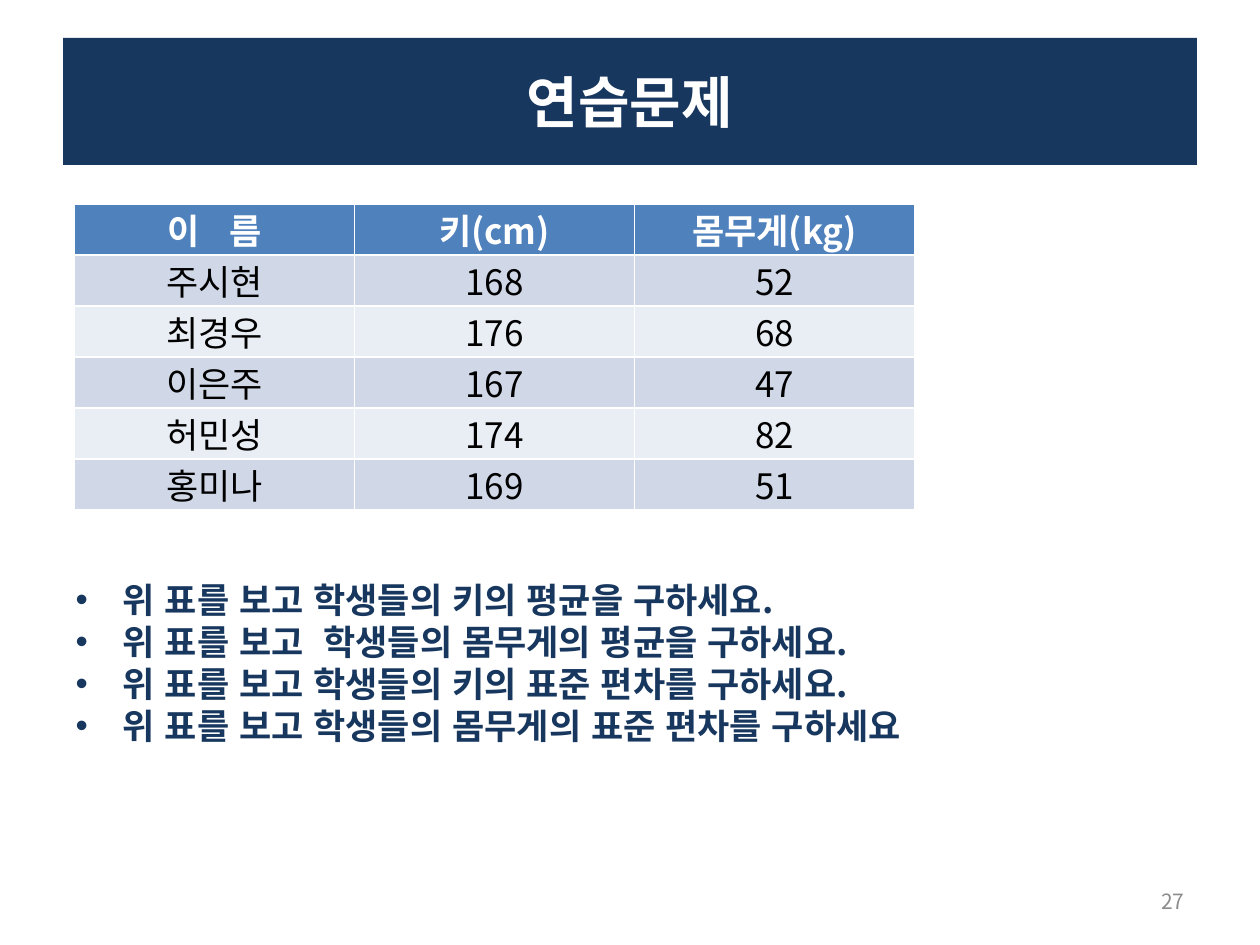
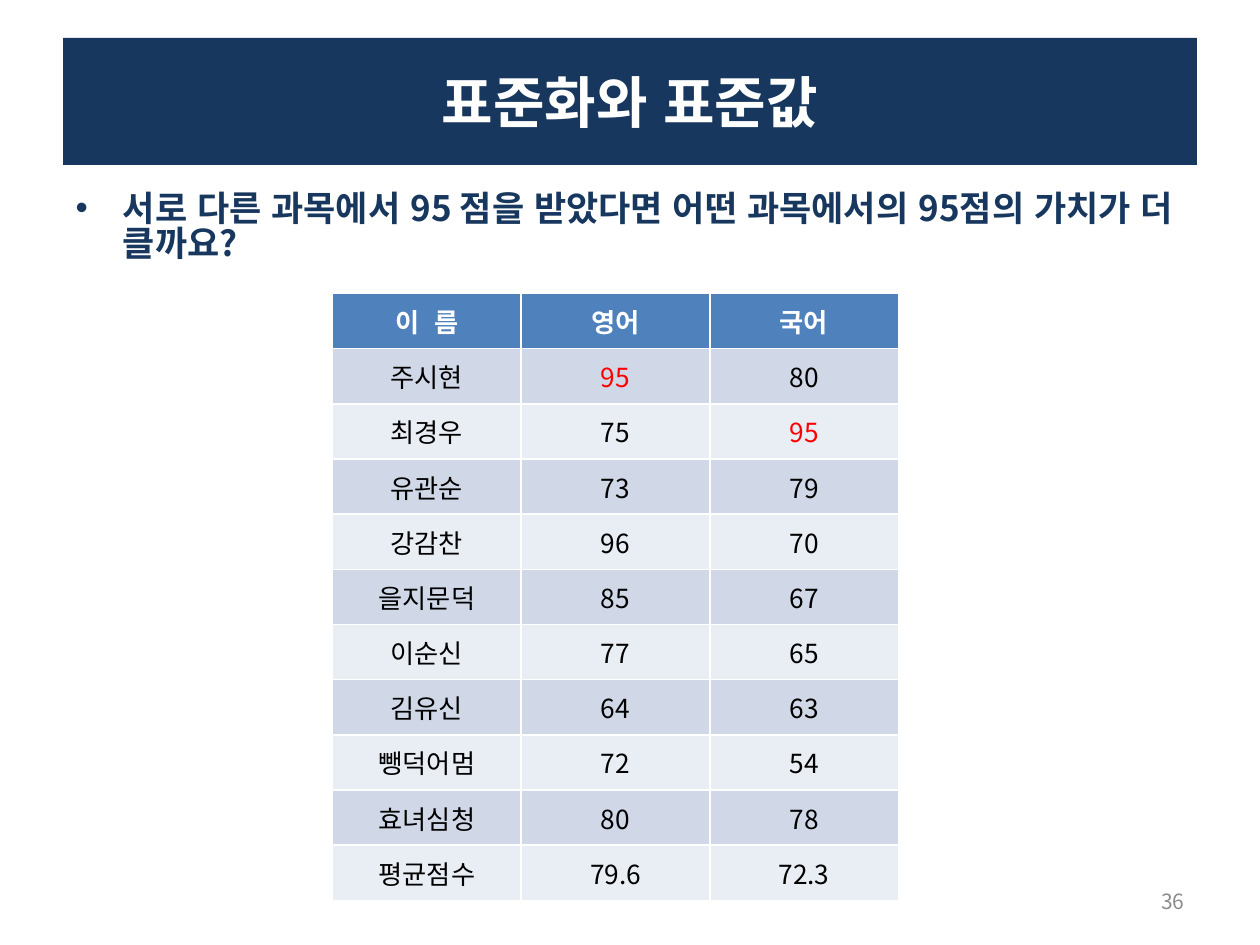
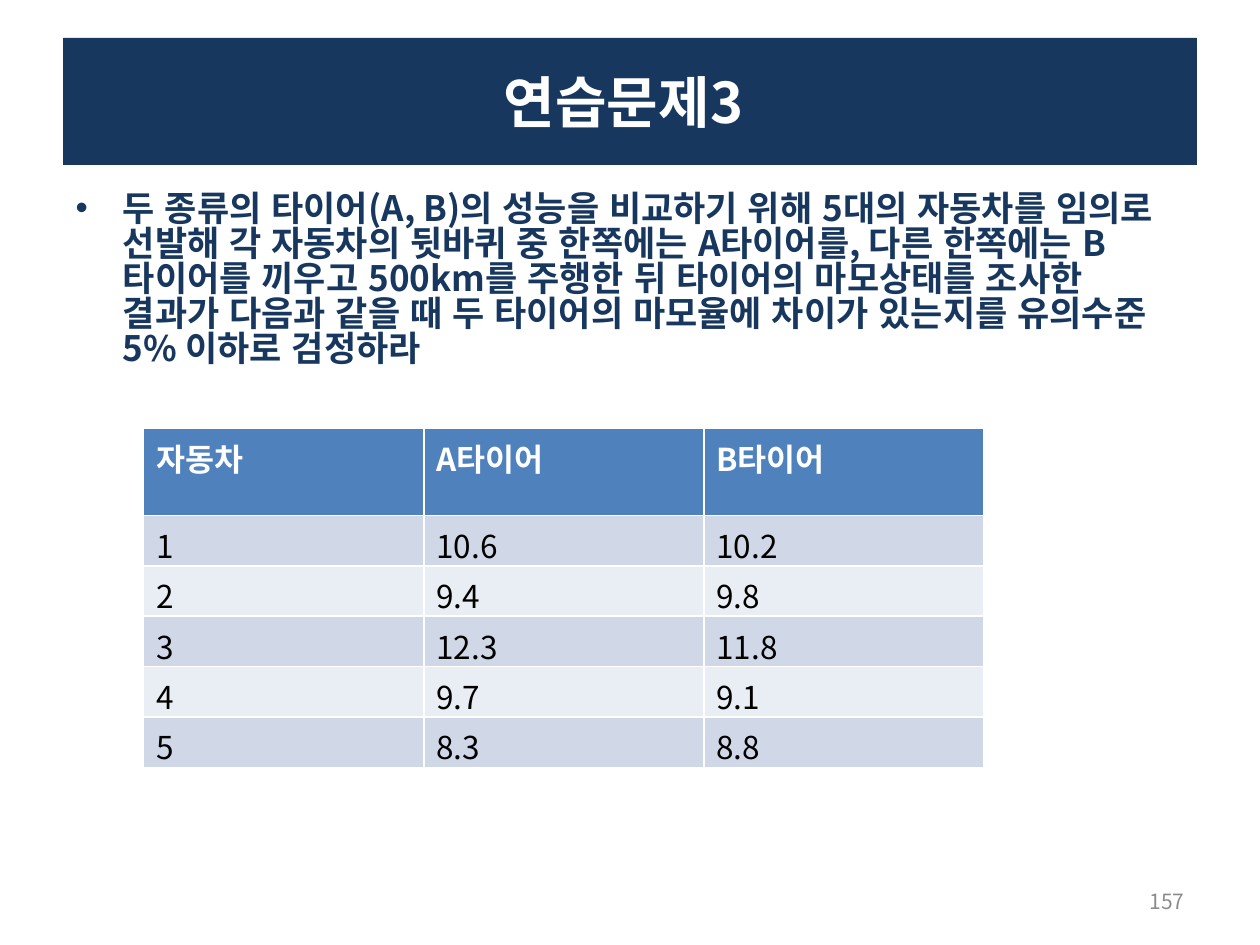
from lxml.etree import SubElement
from pptx import Presentation
from pptx.dml.color import RGBColor
from pptx.enum.lang import MSO_LANGUAGE_ID as Lang
from pptx.enum.text import MSO_ANCHOR as Anchor, MSO_AUTO_SIZE as AutoSize, PP_ALIGN as Align
from pptx.oxml.ns import qn
from pptx.util import Inches, Pt

FONT = "Noto Sans CJK KR"
NAVY = RGBColor(0x17, 0x37, 0x5E)
HEADER_BLUE = RGBColor(0x4F, 0x81, 0xBD)
BANDS = RGBColor(0xD0, 0xD8, 0xE8), RGBColor(0xE9, 0xED, 0xF4)
WHITE = RGBColor(0xFF, 0xFF, 0xFF)
BLACK = RGBColor(0, 0, 0)
RED = RGBColor(0xFF, 0, 0)
GRAY = RGBColor(0x8C, 0x8C, 0x8C)

TITLE_BOX = 0.5, 0.3, 9, 1.01
BODY_BOX = 0.5, 1.47, 9, 5.23
NUMBER_BOX = 7.17, 6.95, 2.33, 0.4

HEIGHTS = [
    ("이   름", "키(cm)", "몸무게(kg)"),
    ("주시현", "168", "52"),
    ("최경우", "176", "68"),
    ("이은주", "167", "47"),
    ("허민성", "174", "82"),
    ("홍미나", "169", "51"),
]
SCORES = [
    ("이  름", "영어", "국어"),
    ("주시현", "95", "80"),
    ("최경우", "75", "95"),
    ("유관순", "73", "79"),
    ("강감찬", "96", "70"),
    ("을지문덕", "85", "67"),
    ("이순신", "77", "65"),
    ("김유신", "64", "63"),
    ("뺑덕어멈", "72", "54"),
    ("효녀심청", "80", "78"),
    ("평균점수", "79.6", "72.3"),
]
TIRES = [
    ("자동차", "A타이어", "B타이어"),
    ("1", "10.6", "10.2"),
    ("2", "9.4", "9.8"),
    ("3", "12.3", "11.8"),
    ("4", "9.7", "9.1"),
    ("5", "8.3", "8.8"),
]


def write(p, text, size, color, bold=False, align=None):
    """Add one formatted run to a paragraph."""
    r = p.add_run()
    r.text = text
    r.font.size = Pt(size)
    r.font.bold = bold
    r.font.color.rgb = color
    r.font.name = FONT
    r.font.language_id = Lang.KOREAN
    SubElement(r.font._element, qn("a:ea"), typeface=FONT)
    if align is not None:
        p.alignment = align


def place(sp, box):
    sp.left, sp.top, sp.width, sp.height = map(Inches, box)


def add_title(s, text, box=TITLE_BOX):
    sp = s.shapes.title
    place(sp, box)
    sp.fill.solid()
    sp.fill.fore_color.rgb = NAVY
    tf = sp.text_frame
    tf.vertical_anchor = Anchor.MIDDLE
    write(tf.paragraphs[0], text, 32, WHITE, bold=True, align=Align.CENTER)


def add_bullets(s, items, box=BODY_BOX):
    sp = s.placeholders[1]
    place(sp, box)
    tf = sp.text_frame
    tf.auto_size = AutoSize.NONE
    tf.margin_top = Inches(0.07)
    for i, item in enumerate(items):
        p = tf.add_paragraph() if i else tf.paragraphs[0]
        p.line_spacing = 0.83
        if i == 0:
            p.space_before = Pt(0)
        write(p, item, 20, NAVY, bold=True)


def add_page_number(s, number, box=NUMBER_BOX):
    tf = s.shapes.add_textbox(*map(Inches, box)).text_frame
    tf.word_wrap = True
    tf.vertical_anchor = Anchor.MIDDLE
    write(tf.paragraphs[0], str(number), 12, GRAY, align=Align.RIGHT)


def add_data_table(s, rows, box, size, header_height=None, align=None,
                   anchor=Anchor.TOP, tight=False, highlight=None):
    """Add a banded table; cells equal to highlight are red, tight drops the padding."""
    height = box[3]
    header_height = header_height or height / len(rows)
    row_height = (height - header_height) / (len(rows) - 1)
    table = s.shapes.add_table(len(rows), len(rows[0]), *map(Inches, box)).table
    for i, values in enumerate(rows):
        table.rows[i].height = Inches(row_height if i else header_height)
        for j, value in enumerate(values):
            cell = table.cell(i, j)
            cell.fill.solid()
            cell.fill.fore_color.rgb = BANDS[(i - 1) % 2] if i else HEADER_BLUE
            cell.vertical_anchor = anchor
            if tight:
                cell.margin_left = cell.margin_right = Inches(0.07)
                cell.margin_top = cell.margin_bottom = 0
            color = WHITE if i == 0 else RED if value == highlight else BLACK
            write(cell.text_frame.paragraphs[0], value, size, color,
                  bold=i == 0, align=align)


def add_lesson(prs, title, bullets, number, body_box=BODY_BOX):
    s = prs.slides.add_slide(prs.slide_layouts[1])
    add_title(s, title)
    add_bullets(s, bullets, body_box)
    add_page_number(s, number)
    return s


def main():
    prs = Presentation()
    prs.slide_width, prs.slide_height = Inches(10), Inches(7.5)

    s = add_lesson(prs, "연습문제", [
        "위 표를 보고 학생들의 키의 평균을 구하세요.",
        "위 표를 보고  학생들의 몸무게의 평균을 구하세요.",
        "위 표를 보고 학생들의 키의 표준 편차를 구하세요.",
        "위 표를 보고 학생들의 몸무게의 표준 편차를 구하세요",
    ], 27, body_box=(0.5, 4.58, 9, 2.12))
    add_data_table(s, HEIGHTS, (0.59, 1.62, 6.67, 2.43), 20,
                   align=Align.CENTER, tight=True)

    s = add_lesson(prs, "표준화와 표준값", [
        "서로 다른 과목에서 95 점을 받았다면 어떤 과목에서의 95점의 가치가 더 클까요?",
    ], 36)
    add_data_table(s, SCORES, (2.64, 2.33, 4.49, 4.82), 15, align=Align.CENTER,
                   anchor=Anchor.MIDDLE, tight=True, highlight="95")

    s = add_lesson(prs, "연습문제3 ", [
        "두 종류의 타이어(A, B)의 성능을 비교하기 위해 5대의 자동차를 임의로 선발해 "
        "각 자동차의 뒷바퀴 중 한쪽에는 A타이어를, 다른 한쪽에는 B타이어를 끼우고 "
        "500km를 주행한 뒤 타이어의 마모상태를 조사한 결과가 다음과 같을 때 "
        "두 타이어의 마모율에 차이가 있는지를 유의수준 5% 이하로 검정하라",
    ], 157)
    add_data_table(s, TIRES, (1.14, 3.4, 6.67, 2.69), 18, header_height=0.69)

    prs.save("out.pptx")


if __name__ == "__main__":
    main()
